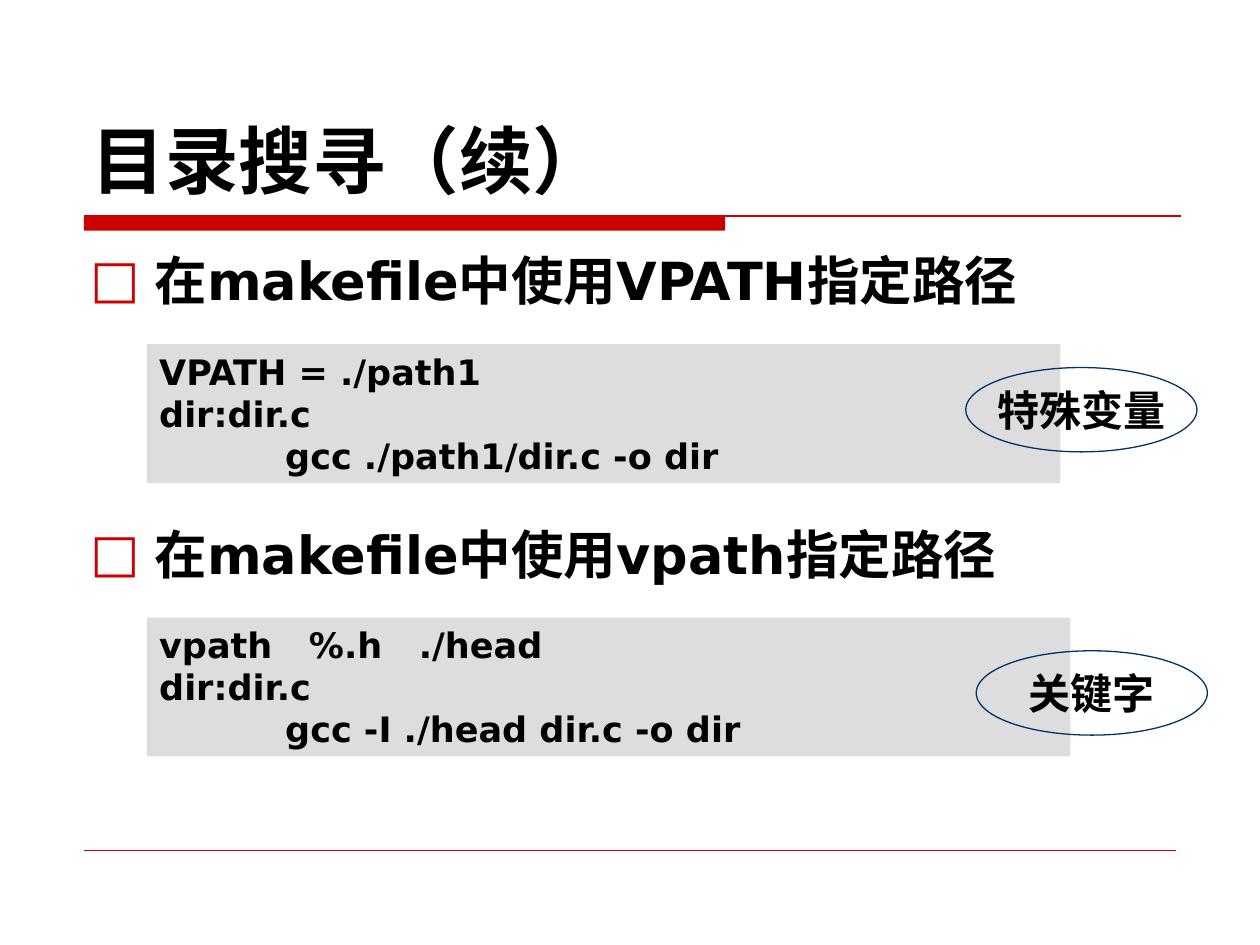
from lxml.etree import SubElement
from pptx import Presentation
from pptx.dml.color import RGBColor
from pptx.enum.shapes import MSO_CONNECTOR as CONNECTOR, MSO_SHAPE as SHAPE
from pptx.enum.text import MSO_ANCHOR as ANCHOR, PP_ALIGN as ALIGN
from pptx.oxml.ns import qn
from pptx.util import Cm, Pt

RED = RGBColor(0xCC, 0x00, 0x00)
NAVY = RGBColor(0x00, 0x33, 0x66)
GRAY = RGBColor(0xDD, 0xDD, 0xDD)
BLACK = RGBColor(0x00, 0x00, 0x00)
FONT = "DejaVu Sans"


def write(shape, text, size, anchor=ANCHOR.TOP, align=ALIGN.LEFT, wrap=True):
    frame = shape.text_frame
    frame.text = text
    frame.word_wrap = wrap
    frame.vertical_anchor = anchor
    for paragraph in frame.paragraphs:
        paragraph.alignment = align
        for run in paragraph.runs:
            run.font.name = FONT
            run.font.size = Pt(size)
            run.font.bold = True
            run.font.color.rgb = BLACK
            SubElement(run.font._element, qn("a:ea"), typeface=FONT)


def add_box(kind, left, top, width, height):
    shape = slide.shapes.add_shape(kind, Cm(left), Cm(top), Cm(width), Cm(height))
    shape.shadow.inherit = False
    shape.fill.background()
    shape.line.fill.background()
    return shape


presentation = Presentation()
presentation.slide_width = Cm(25.4)
presentation.slide_height = Cm(19.05)
slide = presentation.slides.add_slide(presentation.slide_layouts[6])

# Title bar and the thin rules under the title and at the foot
bar = add_box(SHAPE.RECTANGLE, 1.69, 4.34, 12.93, 0.31)
bar.fill.solid()
bar.fill.fore_color.rgb = RED
for top, right, weight in [(4.35, 23.8, 1), (17.15, 23.7, 0.25)]:
    rule = slide.shapes.add_connector(
        CONNECTOR.STRAIGHT, Cm(1.7), Cm(top), Cm(right), Cm(top))
    rule.line.color.rgb = RED
    rule.line.width = Pt(weight)
    SubElement(rule._element.spPr, qn("a:effectLst"))

# Title
title = slide.shapes.add_textbox(Cm(1.6), Cm(0.84), Cm(22.23), Cm(3.38))
write(title, "目录搜寻（续）", 42, anchor=ANCHOR.BOTTOM)

# Two sections: heading, code block and callout
sections = [
    (4.88, "在makefile中使用VPATH指定路径",
     "VPATH = ./path1\ndir:dir.c\n\tgcc ./path1/dir.c -o dir", 18.42,
     "特殊变量", 19.47, 7.41),
    (10.39, "在makefile中使用vpath指定路径",
     "vpath   %.h   ./head\ndir:dir.c\n\tgcc -I ./head dir.c -o dir", 18.62,
     "关键字", 19.68, 13.12),
]
for top, heading, code, code_width, label, label_left, label_top in sections:
    bullet = slide.shapes.add_textbox(Cm(1.57), Cm(top), Cm(22.12), Cm(1.6))
    write(bullet, heading, 30)
    properties = bullet.text_frame.paragraphs[0]._p.get_or_add_pPr()
    properties.set("marL", str(Cm(1.3)))
    properties.set("indent", str(Cm(-1.3)))
    color = SubElement(properties, qn("a:buClr"))
    SubElement(color, qn("a:srgbClr"), val=str(RED))
    SubElement(properties, qn("a:buFont"), typeface=FONT)
    SubElement(properties, qn("a:buChar"), char="□")

    block = add_box(SHAPE.RECTANGLE, 2.96, top + 2.06, code_width, 2.8)
    block.fill.solid()
    block.fill.fore_color.rgb = GRAY
    write(block, code, 20)
    command = block.text_frame.paragraphs[-1]._p.get_or_add_pPr()
    tabs = SubElement(command, qn("a:tabLst"))
    SubElement(tabs, qn("a:tab"), pos=str(Cm(2.54)), algn="l")

    callout = add_box(SHAPE.OVAL, label_left, label_top, 4.66, 1.7)
    callout.line.color.rgb = NAVY
    callout.line.width = Pt(0.75)
    write(callout, label, 24, ANCHOR.MIDDLE, ALIGN.CENTER, wrap=False)

presentation.save("out.pptx")
